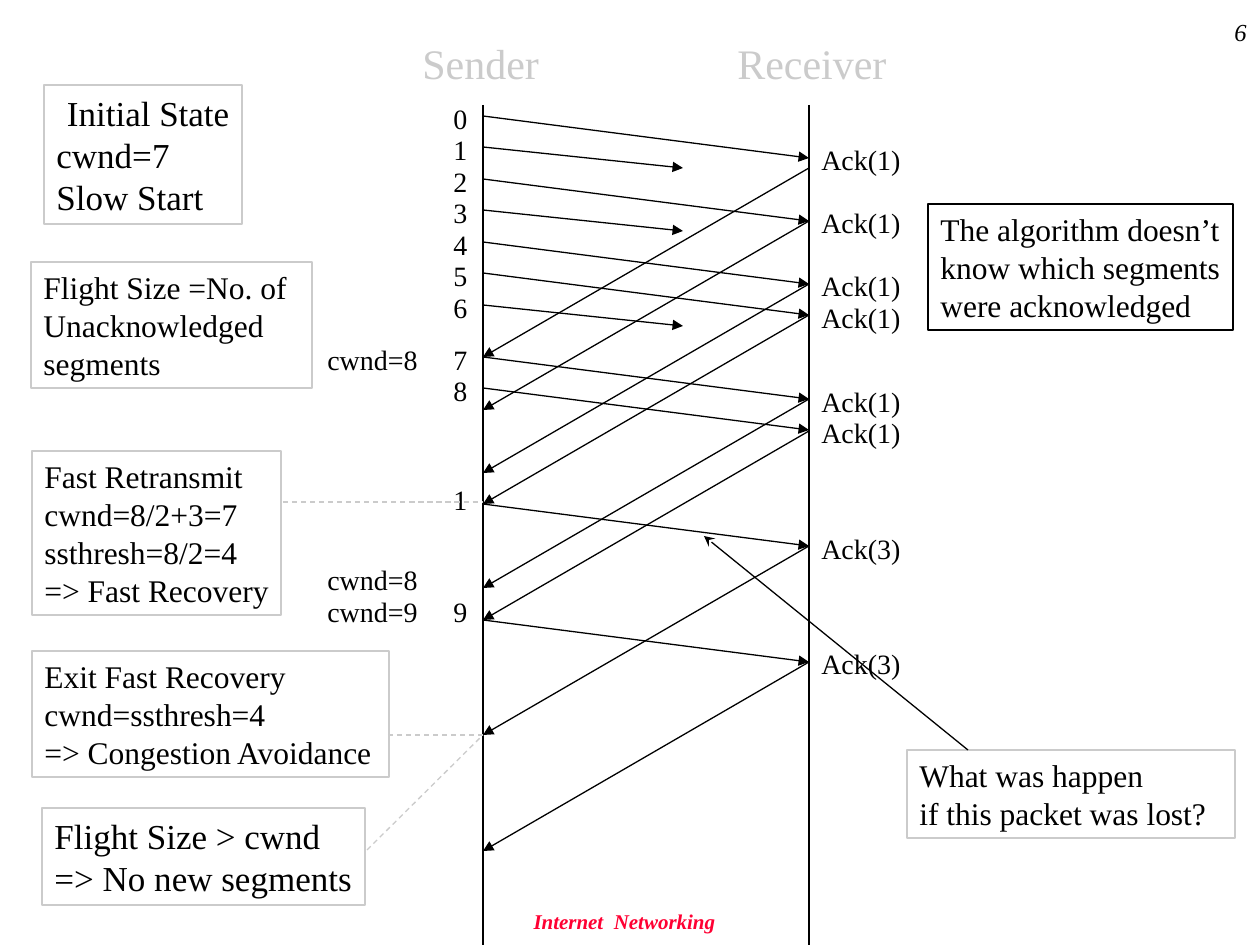
from lxml.etree import SubElement
from pptx import Presentation
from pptx.dml.color import RGBColor
from pptx.enum.dml import MSO_LINE
from pptx.enum.shapes import MSO_CONNECTOR, MSO_SHAPE
from pptx.enum.text import MSO_ANCHOR, PP_ALIGN
from pptx.oxml.ns import qn
from pptx.util import Emu, Pt

PX = 914400 / 126
FONT = "Times New Roman"
BLACK, GREY, RED = "000000", "CBCBCB", "FF0033"
DATA_DROP, LOST_DROP, ACK_DROP = 42, 21, 189


def px(*lengths):
    """Turn pixel lengths into EMU."""
    return [Emu(round(v * PX)) for v in lengths]


def color(hex_code):
    """Turn a hex string into a colour."""
    return RGBColor.from_string(hex_code)


def write(sp, text, size, hex_code=BLACK, wrap=False, align=PP_ALIGN.LEFT,
          anchor=MSO_ANCHOR.TOP, bold=False, italic=False):
    """Fill a shape with text in one style."""
    tf = sp.text_frame
    tf.text = text
    tf.word_wrap = wrap
    tf.vertical_anchor = anchor
    for p in tf.paragraphs:
        p.alignment = align
        for r in p.runs:
            f = r.font
            f.name, f.size, f.bold, f.italic = FONT, Pt(size), bold, italic
            f.color.rgb = color(hex_code)


def label(s, box, text, size=16, **style):
    """Place a text box."""
    write(s.shapes.add_textbox(*px(*box)), text, size, **style)


def note(s, box, text, size=18, border=GREY, wrap=False):
    """Place an outlined note and return its first paragraph."""
    sp = s.shapes.add_shape(MSO_SHAPE.RECTANGLE, *px(*box))
    sp.shadow.inherit = False
    sp.fill.background()
    sp.line.color.rgb = color(border)
    sp.line.width = Pt(0.75)
    write(sp, text, size, wrap=wrap)
    return sp.text_frame.paragraphs[0]


def line(s, start, end, hex_code=BLACK, head=None, dashed=False):
    """Draw a straight line, with an arrowhead at its end if asked."""
    c = s.shapes.add_connector(MSO_CONNECTOR.STRAIGHT, *px(*start, *end))
    c.line.color.rgb = color(hex_code)
    c.line.width = Pt(0.75)
    if dashed:
        c.line.dash_style = MSO_LINE.DASH
    if head:
        SubElement(c.line._get_or_add_ln(), qn("a:tailEnd"), type=head)
    SubElement(c._element.spPr, qn("a:effectLst"))


def timelines(s, left, top, width, height):
    """Draw the sender and receiver timelines with their titles."""
    for x, title_x, title_w, title in ((0, -73, 160, "Sender"),
                                       (width, -84, 190, "Receiver")):
        line(s, (left + x, top), (left + x, top + height))
        label(s, (left + x + title_x, top - 74, title_w, 63), title, 24,
              hex_code=GREY, wrap=True)


def segments(s, left, top, width, height):
    """Draw the segments sent, delivered or lost, with their numbers."""
    sent = (("0", 11, -21), ("1", 42, -21), ("2", 74, -21), ("3", 105, -21),
            ("4", 137, -21), ("5", 168, -21), ("6", 200, -21), ("7", 252, -21),
            ("8", 283, -21), ("1", 399, -28), ("9", 515, -32))
    lost = (1, 3, 6)
    for i, (number, y, shift) in enumerate(sent):
        reach, drop = (200, LOST_DROP) if i in lost else (width, DATA_DROP)
        line(s, (left, top + y), (left + reach, top + y + drop), head="triangle")
        label(s, (left - 42, top + y + shift, 39, 46), number)
    for y, window in ((231, 8), (451, 8), (483, 9)):
        label(s, (left - 168, top + y, 115, 46), f"cwnd={window}")


def acknowledgements(s, left, top, width, height):
    """Draw the acknowledgements going back to the sender."""
    acks = ((1, 63, 31), (1, 116, 94), (1, 179, 157), (1, 210, 189),
            (1, 294, 273), (1, 326, 304), (3, 441, 420), (3, 557, 535))
    for number, y, text_y in acks:
        line(s, (left + width, top + y), (left, top + y + ACK_DROP), head="triangle")
        label(s, (left + width, top + text_y, 105, 46), f"Ack({number})")


def sender_notes(s, left, top, width, height):
    """Place the state notes beside the sender and link them to its timeline."""
    first = note(s, (left + 13, top, 198, 139),
                 "Initial State\ncwnd=7\nSlow Start", 20, wrap=True)
    first.alignment = PP_ALIGN.RIGHT
    note(s, (left, top + 177, 281, 126),
         "Flight Size =No. of\nUnacknowledged\nsegments", wrap=True)
    note(s, (left + 1, top + 366, 249, 164),
         "Fast Retransmit\vcwnd=8/2+3=7\nssthresh=8/2=4\n=> Fast Recovery")
    note(s, (left + 1, top + 566, 357, 126),
         "Exit Fast Recovery\vcwnd=ssthresh=4\n=> Congestion Avoidance")
    note(s, (left + 11, top + 723, 323, 97),
         "Flight Size > cwnd\n=> No new segments", 20)
    for x, y, end_y in ((252, 417, 417), (357, 650, 650), (336, 765, 650)):
        line(s, (left + x, top + y), (left + width, top + end_y), GREY, dashed=True)


def receiver_notes(s, left, top, width, height):
    """Place the remarks beside the receiver and point at the doubtful packet."""
    note(s, (left + 21, top, 305, 126),
         "The algorithm doesn’t\nknow which segments\nwere acknowledged", border=BLACK)
    note(s, (left, top + 546, width, 88),
         "What was happen\nif this packet was lost?", wrap=True)
    line(s, (left + 61, top + 546), (left - 203, top + 332), head="stealth")


def page_marks(s, left, top, width, height):
    """Place the page number and the footer."""
    label(s, (left + width - 263, top, 262, 63), "6", 14, wrap=True,
          align=PP_ALIGN.RIGHT, anchor=MSO_ANCHOR.MIDDLE, italic=True)
    label(s, (left + 55, top + height - 43, 1139, 38), "Internet  Networking", 12,
          hex_code=RED, wrap=True, align=PP_ALIGN.CENTER,
          anchor=MSO_ANCHOR.MIDDLE, bold=True, italic=True)


def main():
    """Build the slide and save it."""
    prs = Presentation()
    prs.slide_width, prs.slide_height = px(1260, 945)
    s = prs.slides.add_slide(prs.slide_layouts[6])
    page_marks(s, 0, 0, 1260, 945)
    exchange = (483, 105, 326, 840)
    for draw in (timelines, segments, acknowledgements):
        draw(s, *exchange)
    sender_notes(s, 31, 85, 452, 820)
    receiver_notes(s, 907, 204, 328, 634)
    prs.save("out.pptx")


if __name__ == "__main__":
    main()
